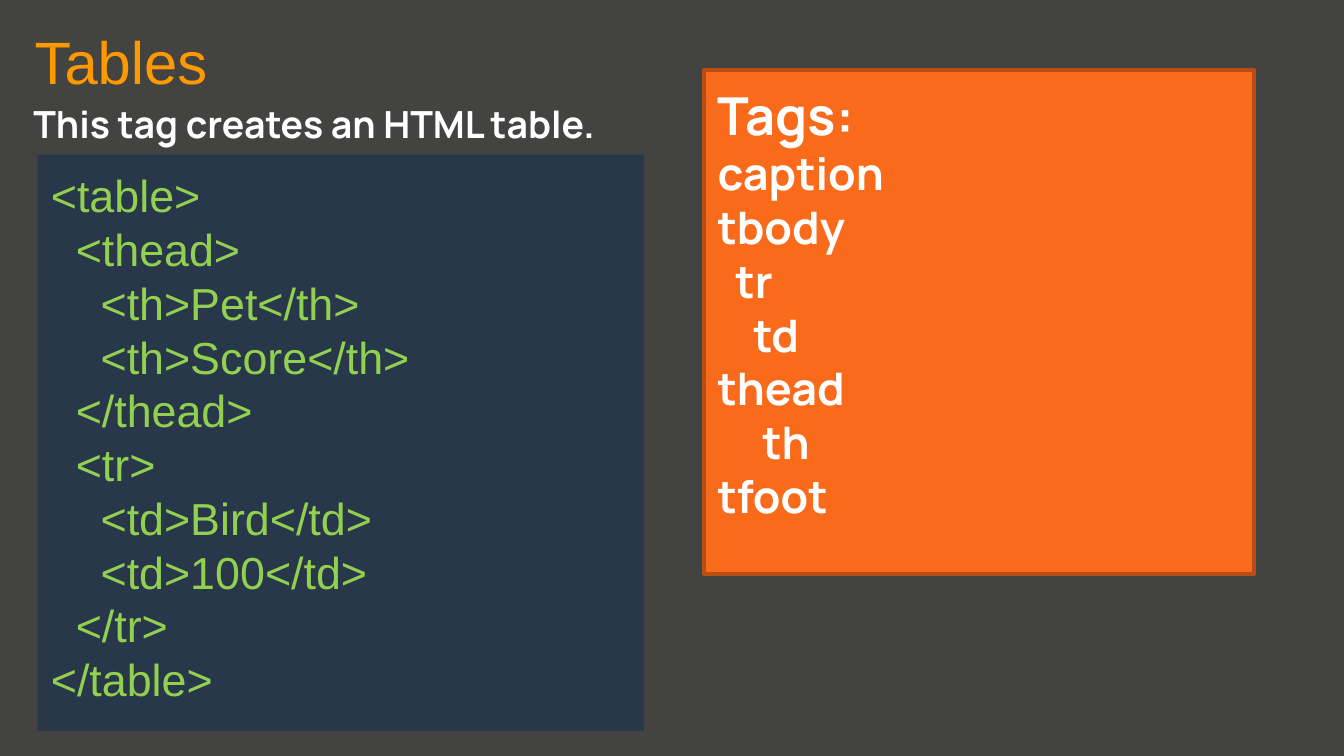
from pptx import Presentation
from pptx import util as u
from pptx.dml.color import RGBColor
from pptx.enum import shapes, text

Pt = u.Pt


def color(value):
    return RGBColor.from_string(value)


def write(shape, content, font, size, ink, bold=False):
    frame = shape.text_frame
    frame.word_wrap = True
    frame.vertical_anchor = text.MSO_ANCHOR.TOP
    frame.margin_left = frame.margin_right = Pt(7.2)
    frame.margin_top = frame.margin_bottom = Pt(7.2)
    frame.text = content
    for paragraph in frame.paragraphs:
        paragraph.alignment = text.PP_ALIGN.LEFT
        for run in paragraph.runs:
            run.font.name = font
            run.font.size = Pt(size)
            run.font.bold = bold
            run.font.color.rgb = color(ink)
    return frame.paragraphs


prs = Presentation()
prs.slide_width = Pt(720)
prs.slide_height = Pt(405)
slide = prs.slides.add_slide(prs.slide_layouts[6])
slide.background.fill.solid()
slide.background.fill.fore_color.rgb = color("434342")

summary = slide.shapes.add_textbox(Pt(10.8), Pt(46.8), Pt(621.4), Pt(57.6))
write(summary, "This tag creates an HTML table.", "Manrope", 20, "FFFFFF", True)

title = slide.shapes.add_textbox(Pt(11.5), Pt(5.8), Pt(679.7), Pt(301.7))
write(title, "Tables", "Arial", 32, "FF9900")[0].line_spacing = Pt(38.4)

code_lines = [
    "<table>",
    "  <thead>",
    "    <th>Pet</th>",
    "    <th>Score</th>",
    "  </thead>",
    "  <tr>",
    "    <td>Bird</td>",
    "    <td>100</td>",
    "  </tr>",
    "</table>",
]
code = slide.shapes.add_shape(
    shapes.MSO_SHAPE.RECTANGLE, Pt(20.2), Pt(82.8), Pt(324.7), Pt(308.9))
code.shadow.inherit = False
code.fill.solid()
code.fill.fore_color.rgb = color("28374A")
code.line.fill.background()
write(code, "\v".join(code_lines), "Arial", 24, "92D050")[0].line_spacing = Pt(28.8)

tag_indents = [
    ("Tags:", 0),
    ("caption", 0),
    ("tbody", 0),
    ("tr", 9.6),
    ("td", 19.2),
    ("thead", 0),
    ("th", 24),
    ("tfoot", 0),
]
tags = slide.shapes.add_shape(
    shapes.MSO_SHAPE.RECTANGLE, Pt(377.3), Pt(37.4), Pt(294.5), Pt(270))
tags.shadow.inherit = False
tags.fill.solid()
tags.fill.fore_color.rgb = color("F96A1B")
tags.line.color.rgb = color("B84E14")
tags.line.width = Pt(2)
tag_names = "\n".join(name for name, indent in tag_indents)
entries = write(tags, tag_names, "Manrope", 24, "FFFFFF", True)
entries[0].runs[0].font.size = Pt(28)
for entry, (name, indent) in zip(entries, tag_indents):
    if indent:
        entry._p.get_or_add_pPr().set("marL", str(Pt(indent)))

prs.save("out.pptx")
